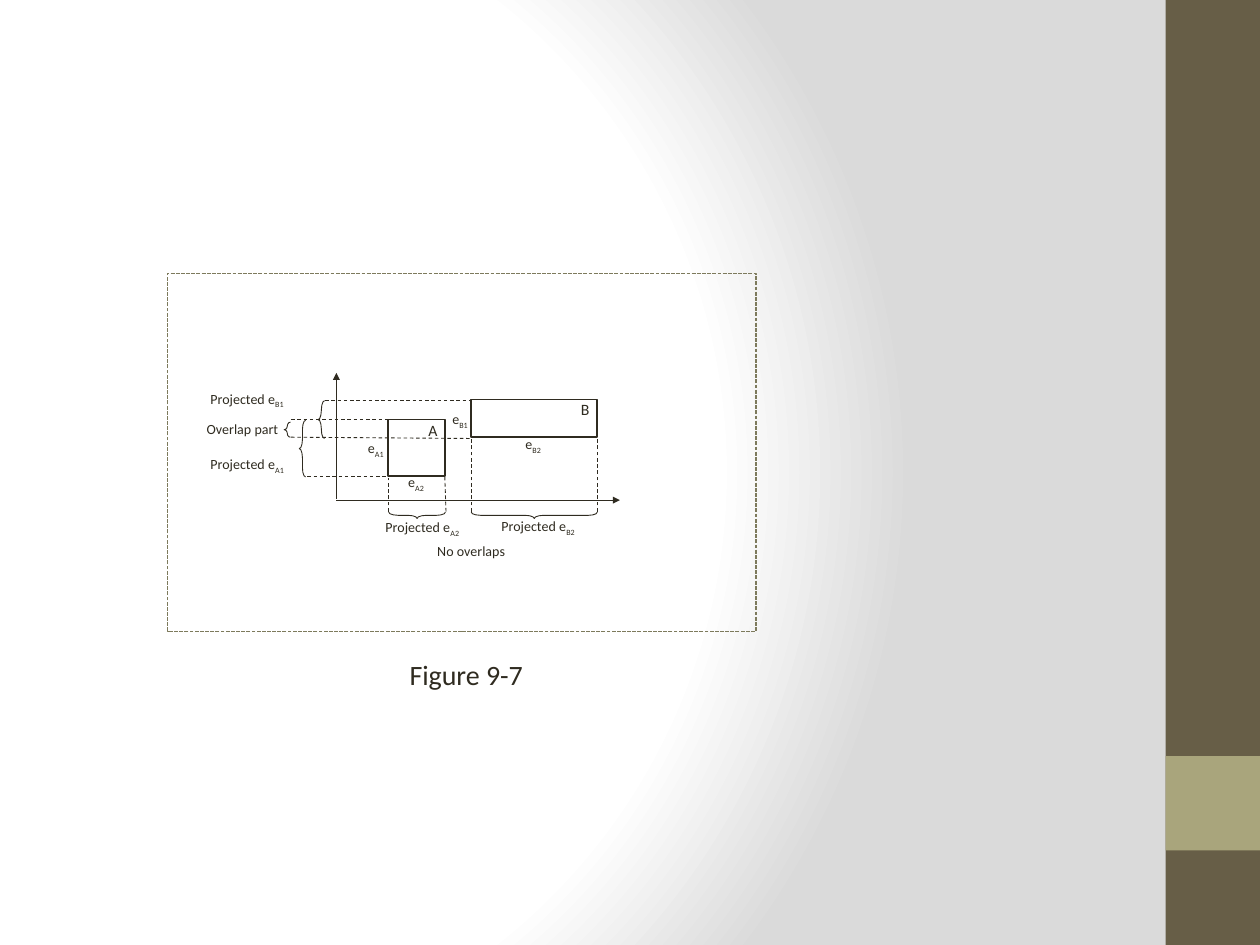
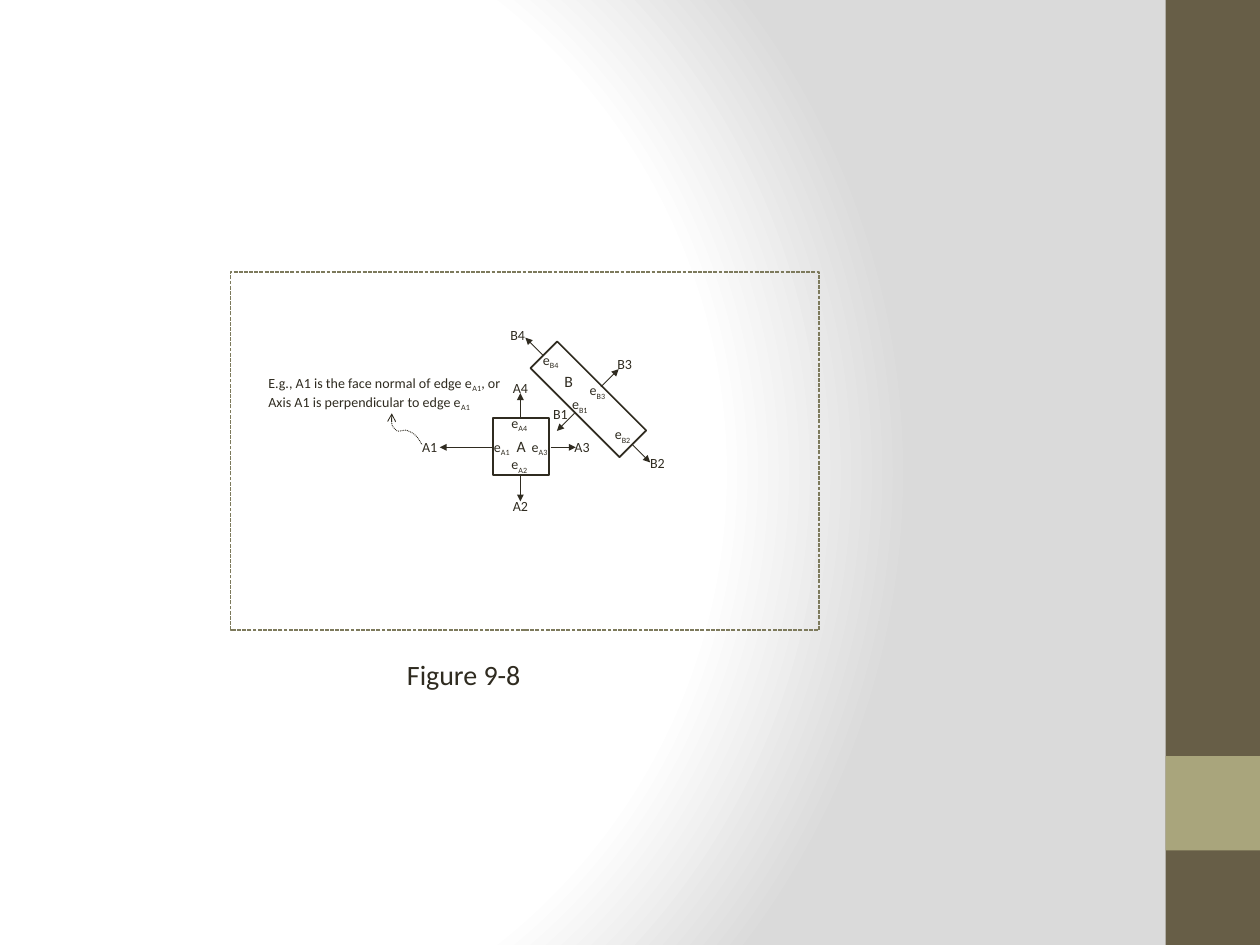
from dataclasses import dataclass

from lxml import etree
from pptx import Presentation
from pptx.dml.color import RGBColor
from pptx.enum.dml import MSO_LINE
from pptx.enum.shapes import MSO_CONNECTOR, MSO_SHAPE
from pptx.enum.text import MSO_AUTO_SIZE
from pptx.oxml import parse_xml
from pptx.oxml.ns import nsdecls, qn
from pptx.util import Inches, Pt

RECT, BRACE = MSO_SHAPE.RECTANGLE, MSO_SHAPE.RIGHT_BRACE
STRAIGHT = MSO_CONNECTOR.STRAIGHT
DASH, SQUARE_DOT, ROUND_DOT = MSO_LINE.DASH, MSO_LINE.SQUARE_DOT, MSO_LINE.ROUND_DOT
FIT = MSO_AUTO_SIZE.SHAPE_TO_FIT_TEXT


@dataclass(frozen=True)
class Theme:
    ink: RGBColor = RGBColor(0x2F, 0x2B, 0x20)
    frame: RGBColor = RGBColor(0x7D, 0x7A, 0x5C)
    band: RGBColor = RGBColor(0x67, 0x5E, 0x47)
    accent: RGBColor = RGBColor(0xA9, 0xA5, 0x7C)
    font: str = "Calibri"
    caption: int = 16
    name: int = 9
    label: int = 8
    thin: float = 0.5
    border: float = 0.75
    thick: float = 1


T = Theme()
BANDS = [(0, 7.5, T.band), (6, 0.75, T.accent)]  # top, height, colour
BACKGROUND = f"""<a:gradFill {nsdecls('a')} rotWithShape="1"><a:gsLst>
<a:gs pos="0"><a:srgbClr val="FFFFFF"/></a:gs>
<a:gs pos="75000"><a:srgbClr val="FFFFFF"/></a:gs>
<a:gs pos="100000"><a:srgbClr val="DADADA"/></a:gs></a:gsLst>
<a:path path="circle"><a:fillToRect l="20000" t="50000" r="100000" b="50000"/></a:path>
</a:gradFill>"""


def stroke(sp, color=T.ink, width=T.thin, dash=None, **ends):
    """Style an outline; ends maps headEnd or tailEnd to an arrow type."""
    sp.line.color.rgb = color
    for key, value in {"width": Pt(width), "dash_style": dash}.items():
        setattr(sp.line, key, value)
    ln = sp.element.spPr.find(qn("a:ln"))
    for end, kind in ends.items():
        etree.SubElement(ln, qn(f"a:{end}"), {"type": kind, "w": "sm", "len": "sm"})


def label(s, text, x, y, w, h=0.24, size=T.label, wrap=False):
    """Add text; underscores switch subscript on and off."""
    tf = s.shapes.add_textbox(*map(Inches, (x, y, w, h))).text_frame
    fmt = {"margin_left": 0, "margin_right": 0, "margin_top": Inches(0.05),
           "margin_bottom": Inches(0.05), "word_wrap": wrap, "auto_size": FIT}
    for key, value in fmt.items():
        setattr(tf, key, value)
    for i, row in enumerate(text.split("\n")):
        p = tf.add_paragraph() if i else tf.paragraphs[0]
        for j, part in enumerate(row.split("_")):
            if not part:
                continue
            r = p.add_run()
            r.text = part
            r.font.name, r.font.size = T.font, Pt(size)
            r.font.color.rgb = T.ink
            if j % 2:
                r._r.get_or_add_rPr().set("baseline", "-25000")


FIGURES = [
    {
        "caption": ("Figure 9-7", 3.25),
        "frame": (1.33, 2.17),
        # left, top, width, height, rotation
        "boxes": [(3.08, 3.33, 0.45, 0.45, 0), (3.74, 3.17, 1, 0.3, 0)],
        "arrows": [(2.67, 3.97, 4.92, 3.97), (2.67, 3.96, 2.67, 2.96)],
        "projections": [
            (2.44, 3.78, 3.08, 3.78), (2.31, 3.33, 3.08, 3.33),
            (2.31, 3.47, 3.73, 3.48), (2.58, 3.18, 3.74, 3.18),
            (3.08, 4.06, 3.08, 3.79), (3.54, 4.06, 3.53, 3.78),
            (3.74, 4.06, 3.74, 3.48), (4.74, 4.06, 4.74, 3.48)],
        # centre x, centre y, length, rotation
        "braces": [(4.24, 4.09, 1, 90), (3.31, 4.09, 0.45, 90),
                   (2.55, 3.33, 0.3, 180), (2.4, 3.56, 0.45, 180),
                   (2.28, 3.41, 0.12, 180)],
        "names": [("A", 3.4, 3.29), ("B", 4.61, 3.12)],
        "labels": [
            ("e_A1", 2.92, 3.44, 0.14), ("e_A2", 3.24, 3.71, 0.14),
            ("e_B1", 3.59, 3.21, 0.13), ("e_B2", 4.17, 3.41, 0.13),
            ("Projected e_A1", 1.67, 3.57, 0.6),
            ("Projected e_B1", 1.67, 3.05, 0.6),
            ("Overlap part", 1.64, 3.29, 0.59),
            ("Projected e_A2", 3.06, 4.07, 0.6),
            ("Projected e_B2", 3.98, 4.06, 0.6),
            ("No overlaps", 3.47, 4.26, 0.55)],
        "curve": [],
    },
    {
        "caption": ("Figure 9-8", 3.23),
        "frame": (1.83, 2.16),
        "boxes": [(3.91, 3.32, 0.45, 0.45, 0), (4.17, 3.02, 1, 0.3, 45)],
        "arrows": [
            (4.13, 3.32, 4.13, 3.12), (4.13, 3.78, 4.13, 3.98),
            (4.37, 3.55, 4.57, 3.55), (3.91, 3.55, 3.49, 3.55),
            (4.77, 3.07, 4.91, 2.93), (4.56, 3.28, 4.42, 3.42),
            (5.02, 3.53, 5.16, 3.67), (4.31, 2.82, 4.17, 2.68)],
        "projections": [],
        "braces": [],
        "names": [("A", 4.1, 3.42), ("B", 4.48, 2.9)],
        "labels": [
            ("A1", 3.35, 3.43, 0.14), ("A2", 4.07, 3.9, 0.14),
            ("A3", 4.56, 3.43, 0.14), ("A4", 4.07, 2.96, 0.14),
            ("B1", 4.39, 3.17, 0.14), ("B2", 5.16, 3.56, 0.14),
            ("B3", 4.9, 2.77, 0.14), ("B4", 4.05, 2.54, 0.14),
            ("e_A1", 3.92, 3.43, 0.14), ("e_A2", 4.06, 3.57, 0.14),
            ("e_A3", 4.22, 3.43, 0.14), ("e_A4", 4.06, 3.24, 0.14),
            ("e_B1", 4.54, 3.09, 0.13), ("e_B2", 4.88, 3.33, 0.13),
            ("e_B3", 4.68, 2.98, 0.13), ("e_B4", 4.31, 2.74, 0.13),
            ("E.g., A1 is the face normal of edge e_A1_, or\n"
             "Axis A1 is perpendicular to edge e_A1", 2.13, 2.92, 1.88, 0.37)],
        # Bezier points: start, then two controls and an end per segment
        "curve": [(3.11, 3.28), (3.1, 3.38), (3.12, 3.39), (3.14, 3.41),
                  (3.16, 3.44), (3.21, 3.4), (3.24, 3.42),
                  (3.28, 3.44), (3.3, 3.44), (3.35, 3.53)],
    },
]

prs = Presentation()
prs.slide_width, prs.slide_height = Inches(10), Inches(7.5)

# Shared background on the master
master = prs.slide_master
master.background.fill.solid()
bg = master.element.find(".//" + qn("p:bgPr"))
bg.replace(bg[0], parse_xml(BACKGROUND))

for fig in FIGURES:
    s = prs.slides.add_slide(prs.slide_layouts[6])

    # Side bands
    for top, height, color in BANDS:
        sp = s.shapes.add_shape(RECT, *map(Inches, (9.25, top, 0.75, height)))
        sp.shadow.inherit = False
        sp.fill.solid()
        sp.fill.fore_color.rgb = color
        sp.line.fill.background()

    # Frame, boxes and braces
    outlines = [(RECT, (*fig["frame"], 4.67, 2.84), 0,
                 {"color": T.frame, "width": T.border, "dash": SQUARE_DOT})]
    outlines += [(RECT, box[:4], box[4], {"width": T.thick}) for box in fig["boxes"]]
    outlines += [(BRACE, (cx - 0.025, cy - length / 2, 0.05, length), turn, {})
                 for cx, cy, length, turn in fig["braces"]]
    for kind, at, turn, style in outlines:
        sp = s.shapes.add_shape(kind, *map(Inches, at))
        sp.shadow.inherit = False
        sp.rotation = turn
        sp.fill.background()
        stroke(sp, **style)
        if kind == BRACE:
            sp.adjustments[0] = 1.471

    # Arrows and projection lines
    lines = [(ends, {"tailEnd": "triangle"}) for ends in fig["arrows"]]
    lines += [(ends, {"dash": DASH}) for ends in fig["projections"]]
    for ends, style in lines:
        c = s.shapes.add_connector(STRAIGHT, *map(Inches, ends))
        stroke(c, **style)
        etree.SubElement(c.element.spPr, qn("a:effectLst"))

    # Curved pointer, sampled along its Bezier segments
    curve = fig["curve"]
    if curve:
        points = []
        for i in range(0, len(curve) - 1, 3):
            for t in (n / 8 for n in range(1, 9)):
                weights = ((1 - t) ** 3, 3 * t * (1 - t) ** 2, 3 * t * t * (1 - t), t ** 3)
                points.append(tuple(
                    Inches(sum(k * pt[axis] for k, pt in zip(weights, curve[i:i + 4])))
                    for axis in (0, 1)))
        builder = s.shapes.build_freeform(*map(Inches, curve[0]))
        builder.add_line_segments(points, close=False)
        sp = builder.convert_to_shape()
        sp.shadow.inherit = False
        sp.fill.background()
        stroke(sp, dash=ROUND_DOT, headEnd="arrow")

    # Labels and caption
    for text, x, y in fig["names"]:
        label(s, text, x, y, 0.07, 0.25, T.name)
    for item in fig["labels"]:
        label(s, *item)
    text, x = fig["caption"]
    label(s, text, x, 5.17, 2.32, 0.37, T.caption, wrap=True)

prs.save("out.pptx")
